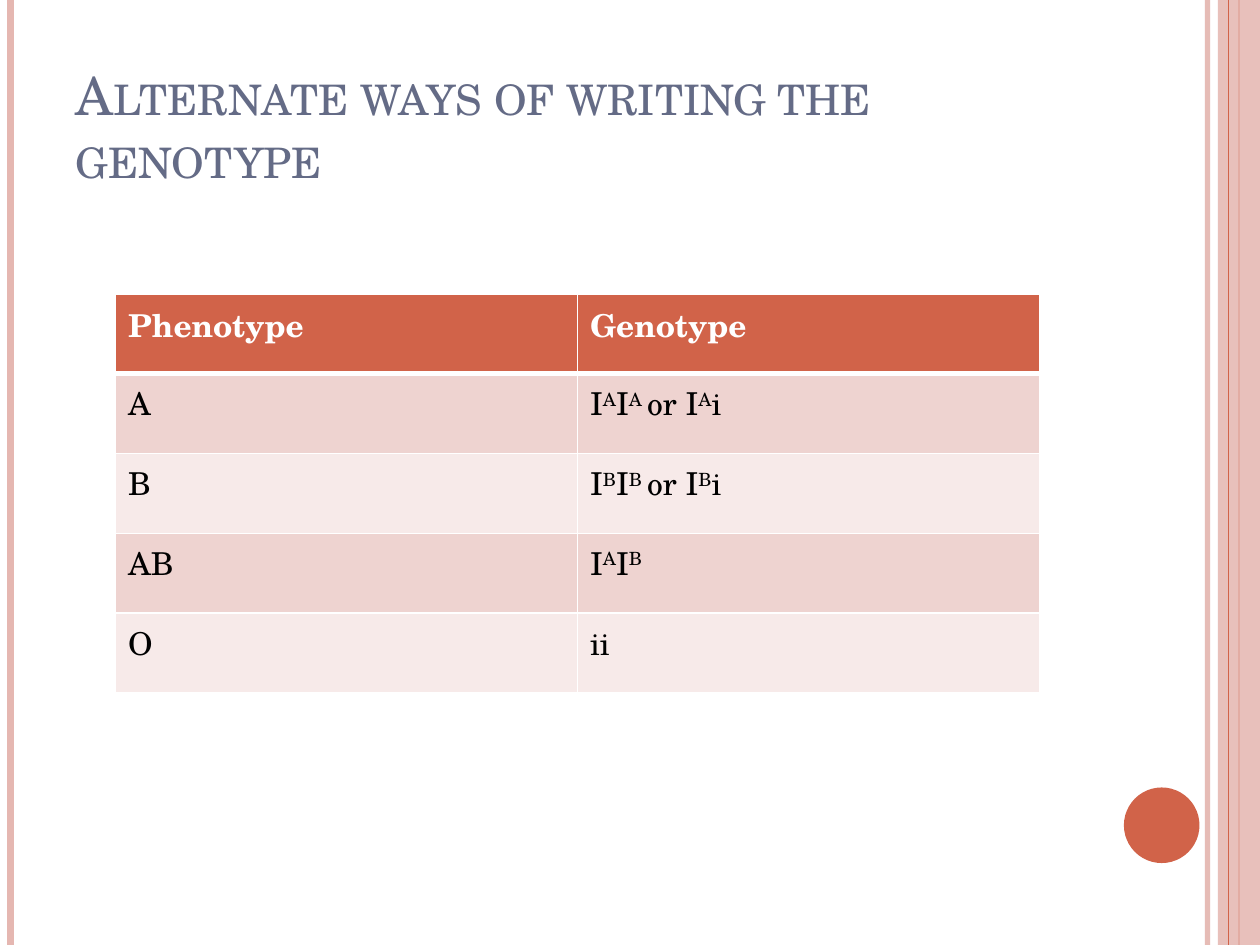
from typing import NamedTuple, Optional

from pptx import Presentation
from pptx.dml.color import RGBColor as RGB
from pptx.enum.shapes import MSO_CONNECTOR as LINK, MSO_SHAPE as SHAPE
from pptx.enum.text import MSO_ANCHOR as ANCHOR, PP_ALIGN as ALIGN
from pptx.oxml.ns import qn
from pptx.oxml.xmlchemy import OxmlElement as Element
from pptx.util import Pt

FACE = "TeX Gyre Schola"
WHITE, BLACK, SLATE = "FFFFFF", "000000", "646B86"
RUST, PINK = "D16349", "E5B7B1"
BANDS = ("EED3D0", "F7EAE9")
WIDE, HIGH = 720, 540


class Stripe(NamedTuple):
    x: float
    width: float
    color: str
    alpha: Optional[int] = None


class Block(NamedTuple):
    kind: SHAPE
    box: tuple
    color: str
    alpha: Optional[int] = None


# Back to front: the wide band lies over the third stripe.
DECOR = (
    Stripe(690, 3, PINK, 93),
    Stripe(6, 4.5, PINK),
    Stripe(708, 1.5, RUST),
    Block(SHAPE.RECTANGLE, (696, 0, 24, HIGH), PINK, 87),
    Stripe(702, 0.75, RUST),
    Block(SHAPE.OVAL, (642.24, 450, 43.2, 43.2), RUST),
)

# Text between carets is superscript.
ROWS = (
    ("Phenotype", "Genotype"),
    ("A", "I^A^I^A ^or I^A^i"),
    ("B", "I^B^I^B ^or I^B^i"),
    ("AB", "I^A^I^B^"),
    ("O", "ii"),
)


def paint(fill, color: str, alpha: Optional[int] = None) -> None:
    fill.solid()
    fill.fore_color.rgb = RGB.from_string(color)
    if alpha is not None:
        tag = Element("a:alpha")
        tag.set("val", str(alpha * 1000))
        fill._xPr.find(qn("a:solidFill"))[0].append(tag)


def style(font, color: str, **values) -> None:
    font.color.rgb = RGB.from_string(color)
    for name, value in {"name": FACE, **values}.items():
        setattr(font, name, value)


def draw(slide, item) -> None:
    if isinstance(item, Stripe):
        line = slide.shapes.add_connector(
            LINK.STRAIGHT, Pt(item.x), Pt(0), Pt(item.x), Pt(HIGH))
        line.line.width = Pt(item.width)
        paint(line.line.fill, item.color, item.alpha)
        line._element.spPr.append(Element("a:effectLst"))
    else:
        shape = slide.shapes.add_shape(item.kind, *map(Pt, item.box))
        shape.shadow.inherit = False
        paint(shape.fill, item.color, item.alpha)
        shape.line.fill.background()


def border(cell, **widths: float) -> None:
    """Add white cell edges; call before the cell is filled."""
    props = cell._tc.get_or_add_tcPr()
    for side in "LRTB":
        edge = Element(f"a:ln{side}")
        edge.set("w", str(Pt(widths.get(side, 1))))
        fill, color = Element("a:solidFill"), Element("a:srgbClr")
        color.set("val", WHITE)
        fill.append(color)
        edge.append(fill)
        props.append(edge)


def write(cell, text: str, color: str, bold: bool) -> None:
    para = cell.text_frame.paragraphs[0]
    for n, part in enumerate(text.split("^")):
        if part:
            run = para.add_run()
            run.text = part
            style(run.font, color, size=Pt(18), bold=bold)
            if n % 2:
                run.font._element.set("baseline", "30000")


def add_title(slide, text: str) -> None:
    title = slide.shapes.title
    box = {"left": 36, "top": 21.6, "width": 588, "height": 90}
    for name, value in box.items():
        setattr(title, name, Pt(value))
    frame = title.text_frame
    frame.vertical_anchor = ANCHOR.BOTTOM
    frame.word_wrap = True
    para = frame.paragraphs[0]
    para.alignment = ALIGN.LEFT
    run = para.add_run()
    run.text = text
    style(run.font, SLATE, size=Pt(30))
    run.font._element.set("cap", "small")


def add_grid(slide) -> None:
    size = len(ROWS), len(ROWS[0])
    table = slide.shapes.add_table(
        *size, Pt(66), Pt(168), Pt(528), Pt(228)).table
    for r, row in enumerate(ROWS):
        head = r == 0
        edges = {0: {"B": 3}, 1: {"T": 3}}.get(r, {})
        for c, text in enumerate(row):
            cell = table.cell(r, c)
            border(cell, **edges)
            paint(cell.fill, RUST if head else BANDS[(r - 1) % 2])
            write(cell, text, WHITE if head else BLACK, head)


def main() -> None:
    deck = Presentation()
    deck.slide_width, deck.slide_height = Pt(WIDE), Pt(HIGH)
    slide = deck.slides.add_slide(deck.slide_layouts[5])
    paint(slide.background.fill, WHITE)
    for item in DECOR:
        draw(slide, item)
    add_title(slide, "Alternate ways of writing the genotype")
    add_grid(slide)
    deck.save("out.pptx")


if __name__ == "__main__":
    main()
